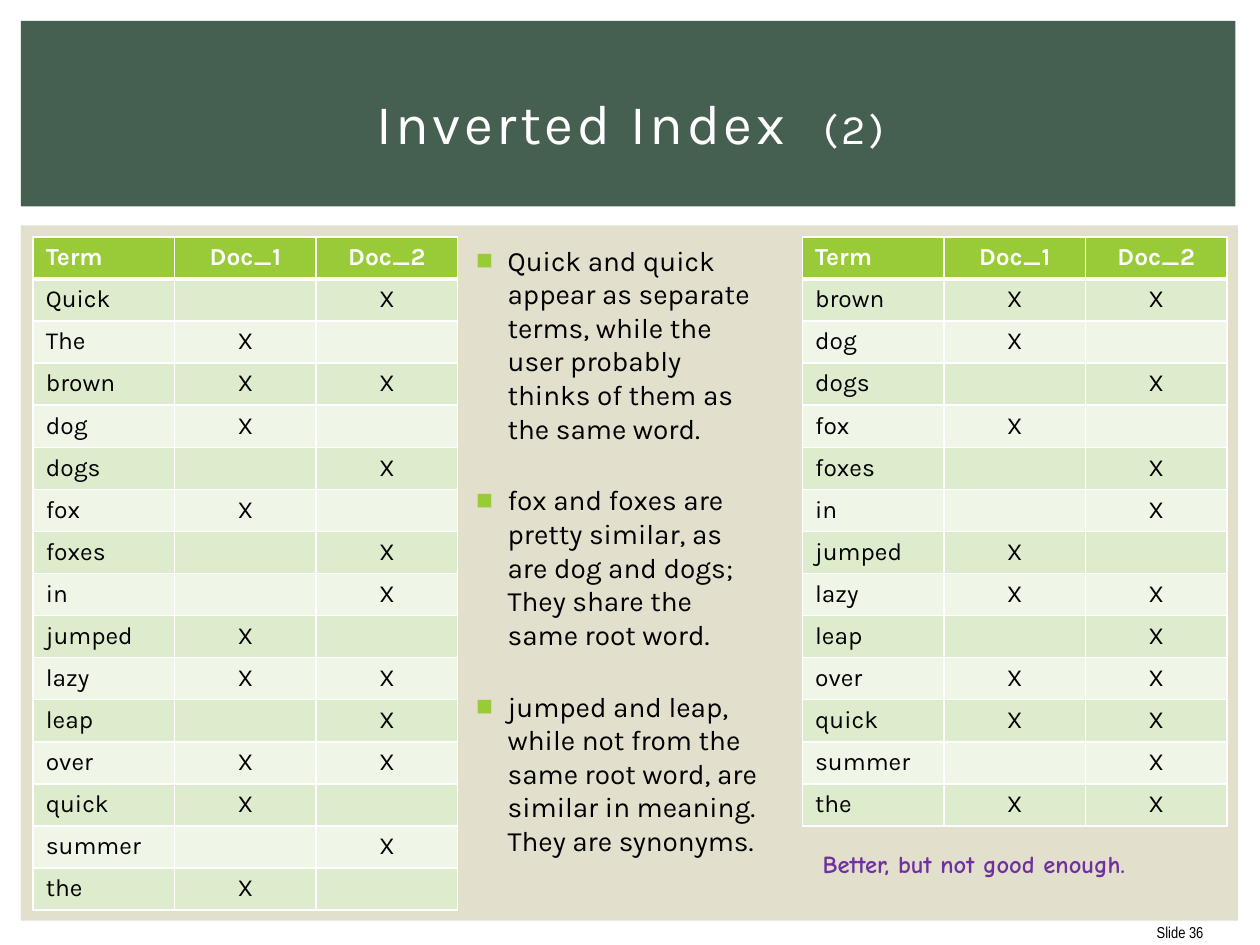
from lxml.etree import SubElement
from pptx import Presentation
from pptx.dml.color import RGBColor
from pptx.enum.shapes import MSO_SHAPE as Preset
from pptx.enum.text import MSO_ANCHOR as Anchor, PP_ALIGN as Align
from pptx.oxml.ns import qn
from pptx.util import Pt

COLORS = {
    "white": "FFFFFF", "black": "000000", "band": "455F51", "panel": "E2DFCC",
    "accent": "99CB38", "odd": "DEECCE", "even": "EFF6E8", "note": "7030A0",
}
FONT = "Karla"
DOCS = (1, 2)
FIRST_INDEX = {
    "Quick": {2}, "The": {1}, "brown": {1, 2}, "dog": {1}, "dogs": {2},
    "fox": {1}, "foxes": {2}, "in": {2}, "jumped": {1}, "lazy": {1, 2},
    "leap": {2}, "over": {1, 2}, "quick": {1}, "summer": {2}, "the": {1},
}
BETTER_INDEX = {
    "brown": {1, 2}, "dog": {1}, "dogs": {2}, "fox": {1}, "foxes": {2},
    "in": {2}, "jumped": {1}, "lazy": {1, 2}, "leap": {2}, "over": {1, 2},
    "quick": {1, 2}, "summer": {2}, "the": {1, 2},
}
REMARKS = (
    "Quick and quick appear as separate terms, while the user probably "
    "thinks of them as the same word.",
    "fox and foxes are pretty similar, as are dog and dogs; "
    "They share the same root word.",
    "jumped and leap, while not from the same root word, are similar in "
    "meaning. They are synonyms.",
)


def rgb(name):
    return RGBColor.from_string(COLORS[name])


def add_run(paragraph, text, size, color, font=FONT, bold=False, spacing=0):
    run = paragraph.add_run()
    run.text = text
    run.font.size = Pt(size)
    run.font.name = font
    run.font.bold = bold
    run.font.color.rgb = rgb(color)
    if spacing:
        run.font._element.set("spc", str(spacing * 100))


def add_panel(slide, box, color):
    panel = slide.shapes.add_shape(Preset.RECTANGLE, *map(Pt, box))
    panel.shadow.inherit = False
    panel.fill.solid()
    panel.fill.fore_color.rgb = rgb(color)
    panel.line.fill.background()


def add_frame(slide, box, anchor=Anchor.TOP):
    frame = slide.shapes.add_textbox(*map(Pt, box)).text_frame
    frame.word_wrap = True
    frame.vertical_anchor = anchor
    return frame


def add_title(slide, box):
    paragraph = add_frame(slide, box, Anchor.MIDDLE).paragraphs[0]
    paragraph.alignment = Align.CENTER
    add_run(paragraph, "Inverted Index", 32, "white", spacing=2)
    add_run(paragraph, " ", 32, "white", spacing=12)
    add_run(paragraph, "(2)", 24, "white", spacing=2)


def add_bullet(paragraph):
    properties = paragraph._p.get_or_add_pPr()
    properties.set("marL", str(Pt(21.6)))
    properties.set("indent", str(Pt(-18)))
    color = SubElement(properties, qn("a:buClr"))
    SubElement(color, qn("a:srgbClr"), val=COLORS["accent"])
    SubElement(properties, qn("a:buFont"), typeface="Arial")
    SubElement(properties, qn("a:buChar"), char="■")


def add_remarks(slide, box):
    frame = add_frame(slide, box)
    for number, remark in enumerate(REMARKS):
        paragraph = frame.add_paragraph() if number else frame.paragraphs[0]
        paragraph.line_spacing = Pt(19.2)
        paragraph.space_before = Pt(3.2)
        paragraph.space_after = Pt(18.7)
        add_bullet(paragraph)
        add_run(paragraph, remark, 16, "black")


def add_borders(cell, widths):
    properties = cell._tc.get_or_add_tcPr()
    for side, width in widths.items():
        line = SubElement(properties, qn(f"a:ln{side}"), w=str(Pt(width)))
        fill = SubElement(line, qn("a:solidFill"))
        SubElement(fill, qn("a:srgbClr"), val=COLORS["white"])


def fill_cell(cell, text, row, column):
    header = row == 0
    add_borders(cell, {"L": 1, "R": 1, "T": 3 if row == 1 else 1, "B": 3 if header else 1})
    cell.fill.solid()
    cell.fill.fore_color.rgb = rgb("accent" if header else "odd" if row % 2 else "even")
    paragraph = cell.text_frame.paragraphs[0]
    paragraph.alignment = Align.CENTER if column else Align.LEFT
    if text:
        add_run(paragraph, text, 14, "white" if header else "black", bold=header)
    else:
        ending = SubElement(paragraph._p, qn("a:endParaRPr"), sz="1400")
        SubElement(ending, qn("a:latin"), typeface=FONT)


def add_index(slide, box, index):
    rows = [["Term"] + [f"Doc_{doc}" for doc in DOCS]]
    rows += [[term] + ["X" if doc in found else "" for doc in DOCS]
             for term, found in index.items()]
    left, top, width, row_height = box
    table = slide.shapes.add_table(
        len(rows), len(rows[0]), Pt(left), Pt(top), Pt(width), Pt(row_height * len(rows))
    ).table
    for row, texts in enumerate(rows):
        for column, text in enumerate(texts):
            fill_cell(table.cell(row, column), text, row, column)


def add_note(slide, box):
    paragraph = add_frame(slide, box).paragraphs[0]
    add_run(paragraph, "Better, but not good enough.", 14, "note", "Comic Neue", True)


def add_slide_number(slide, box):
    paragraph = add_frame(slide, box, Anchor.MIDDLE).paragraphs[0]
    paragraph.alignment = Align.RIGHT
    add_run(paragraph, "Slide 36", 9, "black", "Arial Narrow")


def main():
    deck = Presentation()
    deck.slide_width, deck.slide_height = Pt(720), Pt(540)
    slide = deck.slides.add_slide(deck.slide_layouts[6])
    add_panel(slide, (12, 128.8, 695.5, 397.3), "panel")
    add_panel(slide, (12, 12, 694, 106), "band")
    add_slide_number(slide, (648.7, 522, 46, 21.6))
    add_remarks(slide, (261.4, 135.4, 179.3, 386.6))
    add_index(slide, (458.6, 135.4, 242.6, 23.57), BETTER_INDEX)
    add_title(slide, (30.2, 28.1, 660.2, 82.8))
    add_index(slide, (19, 135.4, 242.6, 23.57), FIRST_INDEX)
    add_note(slide, (463, 481.7, 242.6, 24.5))
    deck.save("out.pptx")


if __name__ == "__main__":
    main()
